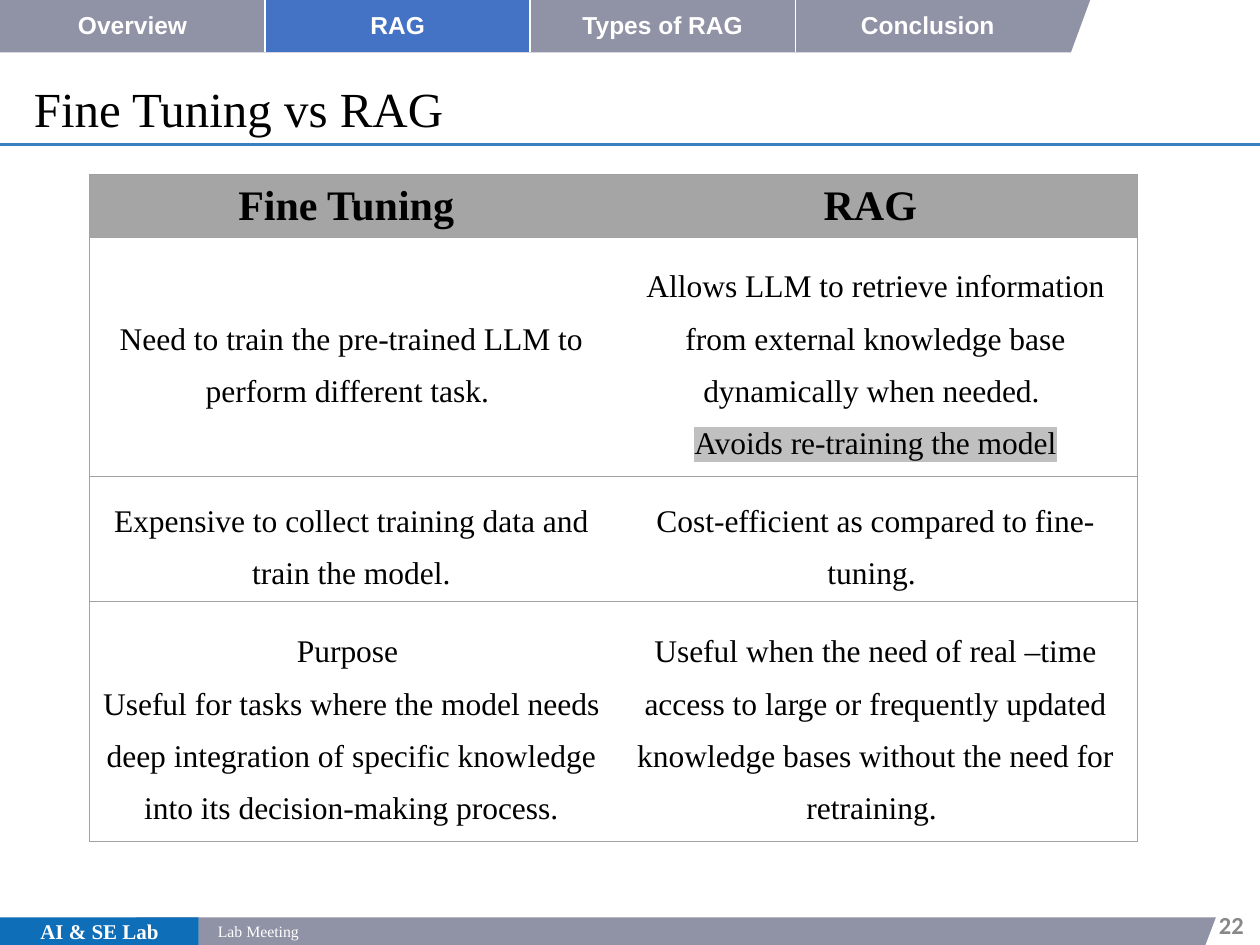
from lxml import etree
from pptx import Presentation
from pptx.dml.color import RGBColor
from pptx.enum.shapes import MSO_CONNECTOR, MSO_SHAPE
from pptx.enum.text import MSO_ANCHOR, MSO_AUTO_SIZE, PP_ALIGN
from pptx.oxml.ns import qn
from pptx.util import Pt

LEFT, CENTER, RIGHT = PP_ALIGN.LEFT, PP_ALIGN.CENTER, PP_ALIGN.RIGHT
MIDDLE = MSO_ANCHOR.MIDDLE
NO_AUTOFIT = MSO_AUTO_SIZE.NONE
RECTANGLE, PARALLELOGRAM = MSO_SHAPE.RECTANGLE, MSO_SHAPE.PARALLELOGRAM
STRAIGHT = MSO_CONNECTOR.STRAIGHT

COLORS = {
    "white": "FFFFFF", "black": "000000", "bar": "9092A5", "lab": "0E6EB8",
    "rule": "3B81BF", "active": "4472C4", "header": "A5A5A5",
    "border": "A1A1A1", "number": "888888", "highlight": "C0C0C0",
}
SERIF = "Times New Roman"
EDGES = ("L", "R", "T", "B")

TABS = ["Overview", "RAG", "Types of RAG", "Conclusion"]
TAB_FILLS = [None, "active", "bar", "bar"]
HIGHLIGHTED = "Avoids re-training the model"
COMPARISON = [
    (["Fine Tuning "], ["RAG "]),
    (["Need to train the pre-trained LLM to perform different task. "],
     ["Allows LLM to retrieve information from external knowledge base "
      "dynamically when needed. ", HIGHLIGHTED]),
    (["Expensive to collect training data and train the model."],
     ["Cost-efficient as compared to fine-tuning. "]),
    (["Purpose ", "Useful for tasks where the model needs deep integration of "
      "specific knowledge into its decision-making process."],
     ["Useful when the need of real –time access to large or frequently "
      "updated knowledge bases without the need for retraining. "]),
]
ROW_HEIGHTS = [36, 136.6, 71.8, 137.1]


def rgb(name):
    return RGBColor.from_string(COLORS[name])


def write(para, text, size=18, color="black", bold=False, font=SERIF,
          align=LEFT, spacing=None, highlight=None):
    para.alignment = align
    if spacing:
        para.line_spacing = spacing
    span = para.add_run()
    span.text = text
    span.font.size, span.font.bold = Pt(size), bold
    span.font.color.rgb = rgb(color)
    span.font.name = font
    if highlight:
        mark = etree.Element(qn("a:highlight"))
        etree.SubElement(mark, qn("a:srgbClr")).set("val", COLORS[highlight])
        span._r.find(qn("a:rPr")).find(qn("a:solidFill")).addnext(mark)


class Slide:
    """Holds the style and the current page, and draws each kind of element."""

    def __init__(self, deck):
        self.page = deck.slides.add_slide(deck.slide_layouts[5])
        self.shapes = self.page.shapes

    def paint(self, shape, fill):
        shape.shadow.inherit = False
        shape.fill.solid()
        shape.fill.fore_color.rgb = rgb(fill)
        shape.line.fill.background()

    def shape(self, kind, left, top, width, height, fill):
        shape = self.shapes.add_shape(
            kind, Pt(left), Pt(top), Pt(width), Pt(height))
        self.paint(shape, fill)
        return shape

    def outline(self, points, fill):
        builder = self.shapes.build_freeform(*points[0], scale=Pt(1))
        builder.add_line_segments(points[1:], close=True)
        self.paint(builder.convert_to_shape(), fill)

    def rule(self, x1, y1, x2, y2, color, weight):
        line = self.shapes.add_connector(
            STRAIGHT, Pt(x1), Pt(y1), Pt(x2), Pt(y2))
        line.line.color.rgb = rgb(color)
        line.line.width = Pt(weight)
        etree.SubElement(line._element.spPr, qn("a:effectLst"))

    def fit(self, box, left, top, width, height, text, **style):
        box.left, box.top = Pt(left), Pt(top)
        box.width, box.height = Pt(width), Pt(height)
        frame = box.text_frame
        frame.word_wrap, frame.auto_size = True, NO_AUTOFIT
        frame.vertical_anchor = MIDDLE
        write(frame.paragraphs[0], text, **style)

    def title(self, *place, **style):
        self.fit(self.shapes.title, *place, **style)

    def text(self, *place, **style):
        self.fit(self.shapes.add_textbox(0, 0, 0, 0), *place, **style)

    def table(self, left, top, width, heights, columns):
        table = self.shapes.add_table(
            len(heights), columns, Pt(left), Pt(top), Pt(width),
            Pt(sum(heights))).table
        table.first_row = table.horz_banding = False
        for column in table.columns:
            column.width = Pt(width / columns)
        for row, height in zip(table.rows, heights):
            row.height = Pt(height)
        return table

    def cell(self, cell, lines, fill, borders, border_color, weight, margin,
             **style):
        cell.vertical_anchor = MIDDLE
        cell.margin_left = cell.margin_right = Pt(margin)
        cell.margin_top = cell.margin_bottom = Pt(3.6)
        if fill:
            cell.fill.solid()
            cell.fill.fore_color.rgb = rgb(fill)
        else:
            cell.fill.background()
        frame = cell.text_frame
        for index, line in enumerate(lines):
            para = frame.add_paragraph() if index else frame.paragraphs[0]
            mark = "highlight" if line == HIGHLIGHTED else None
            write(para, line, align=CENTER, highlight=mark, **style)
        properties = cell._tc.get_or_add_tcPr()
        for index, edge in enumerate(EDGES):
            border = etree.Element(qn(f"a:ln{edge}"))
            border.set("w", str(Pt(weight)))
            if edge in borders:
                paint = etree.SubElement(border, qn("a:solidFill"))
                etree.SubElement(paint, qn("a:srgbClr")).set(
                    "val", COLORS[border_color])
            else:
                etree.SubElement(border, qn("a:noFill"))
            properties.insert(index, border)


def add_footer(slide):
    bar = slide.shape(PARALLELOGRAM, 72, 524.2, 622.8, 15.8, "bar")
    bar.adjustments[0] = 0.38
    slide.shape(RECTANGLE, 0, 524.2, 113.6, 15.8, "lab")
    slide.shape(RECTANGLE, 113.2, 523.6, 0.1, 16.4, "white")
    slide.text(3.6, 521.5, 106.6, 21.6, "AI & SE Lab",
               size=12, color="white", bold=True, align=CENTER)
    slide.text(117.4, 523, 106.6, 18, "Lab Meeting", size=9, color="white")
    slide.text(555.8, 518.4, 162, 20.2, "22", size=14, color="number",
               bold=True, font="Calibri", align=RIGHT)


def add_comparison(slide):
    table = slide.table(51.1, 99.6, 599, ROW_HEIGHTS, 2)
    for row, texts in enumerate(COMPARISON):
        if row:
            fill, style = None, {"spacing": 1.5}
        else:
            fill, style = "header", {"size": 24, "bold": True}
        for column, lines in enumerate(texts):
            slide.cell(table.cell(row, column), lines, fill,
                       "TB" + EDGES[column], "border", 0.75, 5, **style)


def add_tabs(slide):
    slide.outline([(0, 0), (622.8, 0), (611.5, 30), (0, 30)], "bar")
    table = slide.table(0, 0, 606, [29.5], len(TABS))
    for column, (name, fill) in enumerate(zip(TABS, TAB_FILLS)):
        borders = ("L" if column else "") + ("R" if column < len(TABS) - 1 else "")
        slide.cell(table.cell(0, column), [name], fill, borders, "white", 1,
                   7.2, size=14, color="white", bold=True, font="Arial")


def main():
    deck = Presentation()
    deck.slide_width, deck.slide_height = Pt(720), Pt(540)
    slide = Slide(deck)
    slide.title(12.2, 41, 396, 41, "Fine Tuning vs RAG", size=28)
    slide.rule(0, 82.6, 720, 82.6, "rule", 1.5)
    add_footer(slide)
    add_comparison(slide)
    add_tabs(slide)
    deck.save("out.pptx")


if __name__ == "__main__":
    main()
